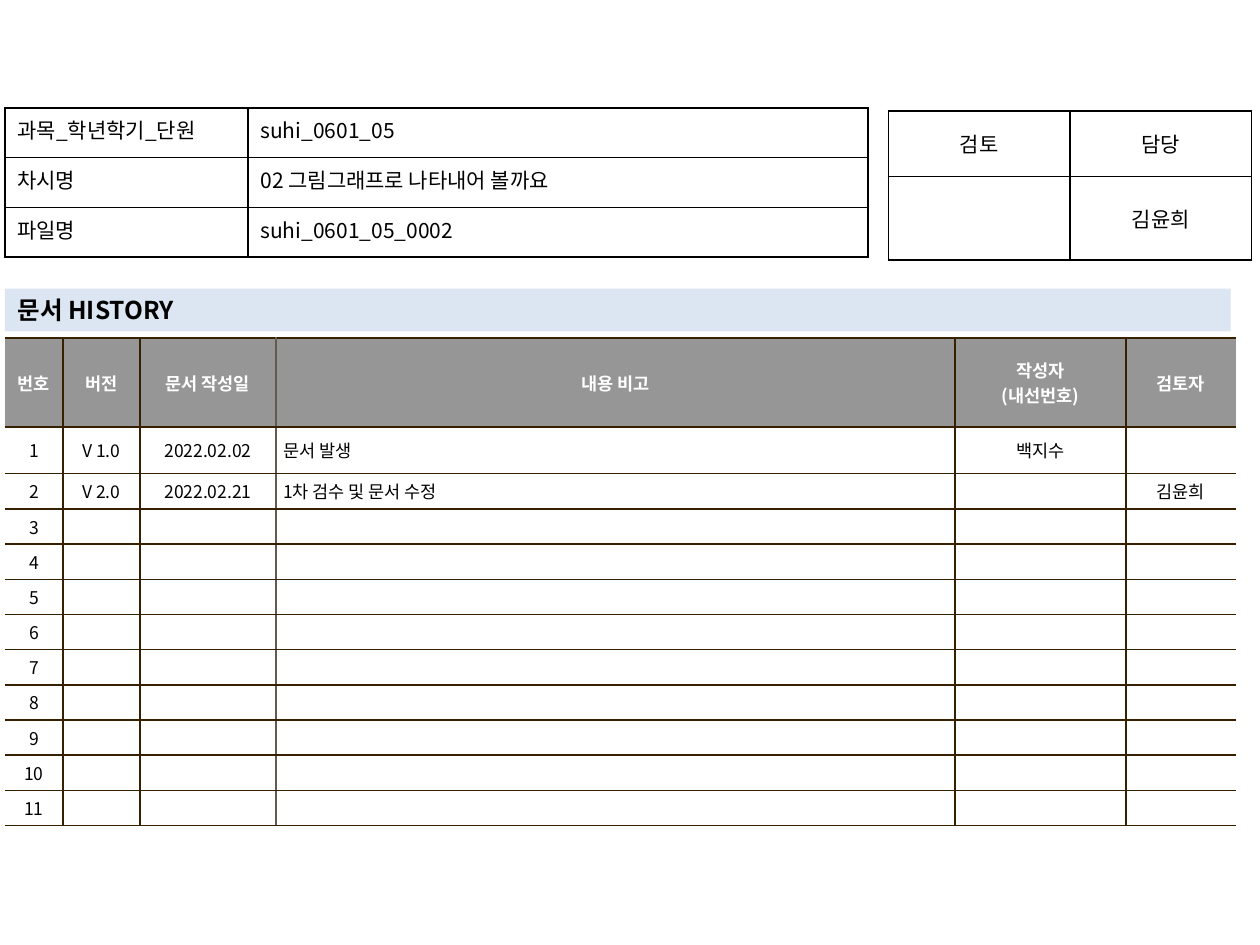
from dataclasses import dataclass

from lxml import etree
from pptx import Presentation
from pptx.dml.color import RGBColor
from pptx.enum.text import MSO_ANCHOR, MSO_AUTO_SIZE, PP_ALIGN
from pptx.oxml.ns import qn
from pptx.util import Cm, Pt

LEFT, CENTER, JUSTIFY = PP_ALIGN.LEFT, PP_ALIGN.CENTER, PP_ALIGN.JUSTIFY
TOP, MIDDLE = MSO_ANCHOR.TOP, MSO_ANCHOR.MIDDLE
NO_AUTOFIT = MSO_AUTO_SIZE.NONE
TITLE_ONLY = 5


@dataclass(frozen=True)
class Theme:
    font: str = "Noto Sans CJK KR"
    ink: str = "000000"
    white: str = "FFFFFF"
    bar: str = "DCE6F2"
    header: str = "969696"
    rule: str = "362000"
    soft_rule: str = "645B4C"
    title: int = 14
    body: int = 12
    small: int = 10
    line: int = 1


THEME = Theme()


def rgb(value):
    return RGBColor.from_string(value)


def put_text(tf, text, size, color=THEME.ink, bold=False, align=LEFT):
    """Write text into a frame, one paragraph for each line."""
    for i, line in enumerate(text.split("\n")):
        p = tf.paragraphs[0] if i == 0 else tf.add_paragraph()
        p.alignment = align
        if not line:
            # An empty cell takes its height from the end mark
            p._p.get_or_add_endParaRPr().set("sz", str(size * 100))
            continue
        r = p.add_run()
        r.text = line
        r.font.size, r.font.bold = Pt(size), bold
        r.font.color.rgb = rgb(color)
        r.font.name = THEME.font
        ea = etree.SubElement(r.font._element, qn("a:ea"))
        ea.set("typeface", THEME.font)


def set_borders(cell, left, right, top, bottom):
    """Draw the four sides of a cell; None leaves a side open."""
    tc_pr = cell._tc.get_or_add_tcPr()
    for tag, color in zip(("lnL", "lnR", "lnT", "lnB"), (left, right, top, bottom)):
        ln = etree.SubElement(tc_pr, qn(f"a:{tag}"), w=str(Pt(THEME.line)))
        if color is None:
            etree.SubElement(ln, qn("a:noFill"))
        else:
            fill = etree.SubElement(ln, qn("a:solidFill"))
            etree.SubElement(fill, qn("a:srgbClr"), val=color)


def add_grid(s, x, y, cols, rows):
    """Add a plain table with column widths and row heights in cm."""
    frame = s.shapes.add_table(len(rows), len(cols), Cm(x), Cm(y),
                               Cm(sum(cols)), Cm(sum(rows)))
    table = frame.table
    table.first_row = table.horz_banding = False
    for col, width in zip(table.columns, cols):
        col.width = Cm(width)
    for row, height in zip(table.rows, rows):
        row.height = Cm(height)
    return table


def format_cell(cell, fill, borders, margins, anchor):
    set_borders(cell, *borders)
    if fill is None:
        cell.fill.background()
    else:
        cell.fill.solid()
        cell.fill.fore_color.rgb = rgb(fill)
    cell.margin_left = cell.margin_right = Cm(margins[0])
    cell.margin_top = cell.margin_bottom = Cm(margins[1])
    cell.vertical_anchor = anchor


def add_boxed_table(s, x, y, cols, rows, data, aligns, anchor):
    """Black-ruled table for the head of the document."""
    table = add_grid(s, x, y, cols, rows)
    for i, values in enumerate(data):
        for j, text in enumerate(values):
            cell = table.cell(i, j)
            format_cell(cell, None, [THEME.ink] * 4, (0.25, 0.13), anchor)
            put_text(cell.text_frame, text, THEME.body, align=aligns[j])


def place_title(s, x, y, w, h, text):
    """Use the title placeholder as the tinted heading bar."""
    sp = s.shapes.title
    sp.left, sp.top, sp.width, sp.height = Cm(x), Cm(y), Cm(w), Cm(h)
    sp.fill.solid()
    sp.fill.fore_color.rgb = rgb(THEME.bar)
    tf = sp.text_frame
    tf.auto_size = NO_AUTOFIT
    tf.vertical_anchor = MIDDLE
    put_text(tf, text, THEME.title, bold=True)


def add_history(s, x, y, cols, rows, data):
    """Revision table, open at its left and right ends."""
    table = add_grid(s, x, y, cols, rows)
    note_col = 3
    edges = [None] + [THEME.rule] * (len(cols) - 1) + [None]
    edges[note_col] = THEME.soft_rule
    for i, values in enumerate(data):
        head = i == 0
        for j, text in enumerate(values):
            cell = table.cell(i, j)
            format_cell(cell, THEME.header if head else THEME.white,
                        (edges[j], edges[j + 1], THEME.rule, THEME.rule),
                        (0.15, 0.1), MIDDLE)
            put_text(cell.text_frame, text, THEME.small, bold=head,
                     color=THEME.white if head else THEME.ink,
                     align=LEFT if j == note_col and not head else CENTER)


def main():
    prs = Presentation()
    prs.slide_width, prs.slide_height = Cm(25.4), Cm(19.05)
    s = prs.slides.add_slide(prs.slide_layouts[TITLE_ONLY])

    # Revision history
    entries = [
        ["번호", "버전", "문서 작성일", "내용 비고", "작성자\n(내선번호)", "검토자"],
        ["1", "V 1.0", "2022.02.02", "문서 발생", "백지수", ""],
        ["2", "V 2.0", "2022.02.21", "1차 검수 및 문서 수정", "", "김윤희"],
    ]
    entries += [[str(n)] + [""] * 5 for n in range(3, 12)]
    add_history(s, 0.1, 6.81, [1.17, 1.55, 2.74, 13.69, 3.45, 2.21],
                [1.8, 0.94] + [0.64] * 10, entries)

    # Approval box
    add_boxed_table(s, 17.91, 2.24, [3.66, 3.66], [1.32, 1.68],
                    [["검토", "담당"], ["", "김윤희"]], [CENTER, CENTER], MIDDLE)

    # Heading bar
    place_title(s, 0.1, 5.82, 24.71, 0.86, "문서 HISTORY")

    # Lesson information
    add_boxed_table(s, 0.1, 2.18, [4.9, 12.5], [1] * 3, [
        ["과목_학년학기_단원", "suhi_0601_05"],
        ["차시명", "02 그림그래프로 나타내어 볼까요"],
        ["파일명", "suhi_0601_05_0002"],
    ], [JUSTIFY, LEFT], TOP)

    prs.save("out.pptx")


if __name__ == "__main__":
    main()
